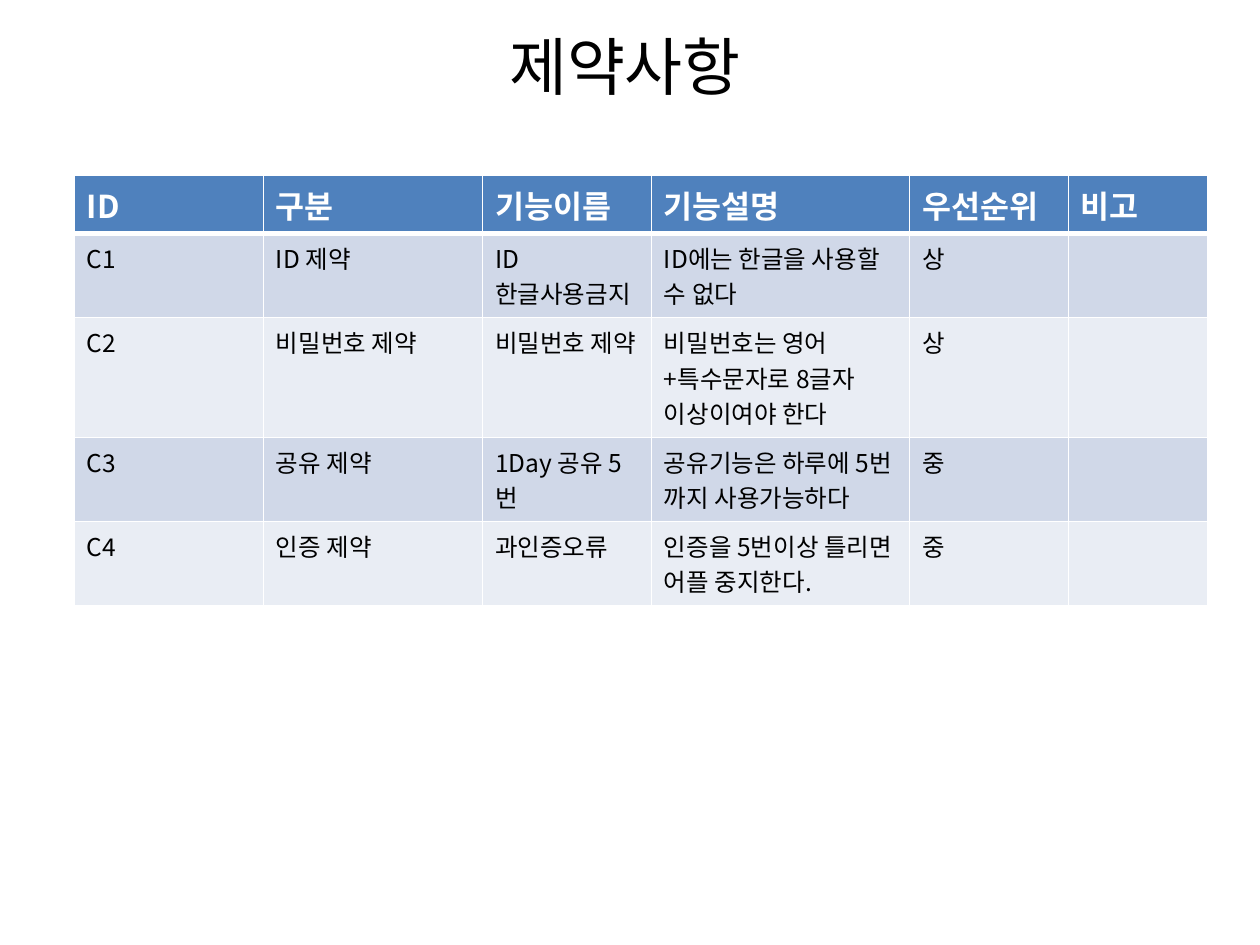
from lxml.etree import SubElement
from pptx import Presentation
from pptx.dml.color import RGBColor
from pptx.enum.text import MSO_ANCHOR, PP_ALIGN
from pptx.oxml.ns import qn
from pptx.util import Inches, Pt

HEADERS = ["ID", "구분", "기능이름", "기능설명", "우선순위", "비고"]
CONSTRAINTS = [
    ["C1", "ID 제약", "ID한글사용금지", "ID에는 한글을 사용할 수 없다", "상", ""],
    ["C2", "비밀번호 제약", "비밀번호 제약",
     "비밀번호는 영어+특수문자로 8글자 이상이여야 한다", "상", ""],
    ["C3", "공유 제약", "1Day 공유 5번",
     "공유기능은 하루에 5번 까지 사용가능하다", "중", ""],
    ["C4", "인증 제약", "과인증오류",
     "인증을 5번이상 틀리면 어플 중지한다.", "중", ""],
]
COLUMN_WIDTHS = [1.5, 1.74, 1.34, 2.05, 1.26, 1.11]
ROW_HEIGHT = 0.41


def color(hex_string):
    return RGBColor.from_string(hex_string)


class SlideBuilder:
    font = "Noto Sans CJK KR"
    ink = "000000"
    white = "FFFFFF"
    header_fill = "4F81BD"
    band_fills = ["D0D8E8", "E9EDF4"]

    def __init__(self, slide):
        self.slide = slide

    def style_text(self, frame, size, text_color, bold=False):
        for paragraph in frame.paragraphs:
            for run in paragraph.runs:
                run.font.size = Pt(size)
                run.font.bold = bold
                run.font.color.rgb = color(text_color)
                run.font.name = self.font
                # Hangul takes its typeface from the East Asian font
                SubElement(run.font._element, qn("a:ea"), typeface=self.font)

    def title(self, text, left, top, width, height):
        heading = self.slide.shapes.title
        heading.left, heading.top = Inches(left), Inches(top)
        heading.width, heading.height = Inches(width), Inches(height)
        frame = heading.text_frame
        frame.text = text
        frame.vertical_anchor = MSO_ANCHOR.MIDDLE
        frame.paragraphs[0].alignment = PP_ALIGN.CENTER
        self.style_text(frame, 36, self.ink)

    def borders(self, cell, widths):
        properties = cell._tc.get_or_add_tcPr()
        for side, width in widths.items():
            line = SubElement(properties, qn(f"a:ln{side}"), w=str(Pt(width)))
            fill = SubElement(line, qn("a:solidFill"))
            SubElement(fill, qn("a:srgbClr"), val=self.white)

    def table(self, rows, left, top, column_widths, row_height):
        grid = self.slide.shapes.add_table(
            len(rows), len(column_widths), Inches(left), Inches(top),
            Inches(sum(column_widths)), Inches(row_height * len(rows))).table
        for column, width in zip(grid.columns, column_widths):
            column.width = Inches(width)
        for r, texts in enumerate(rows):
            is_header = r == 0
            fill = self.header_fill if is_header else self.band_fills[(r - 1) % 2]
            # The rule under the header is thicker than the others
            widths = {"L": 1, "R": 1, "T": 3 if r == 1 else 1, "B": 3 if is_header else 1}
            for c, text in enumerate(texts):
                cell = grid.cell(r, c)
                cell.text_frame.text = text
                self.borders(cell, widths)
                cell.fill.solid()
                cell.fill.fore_color.rgb = color(fill)
                if is_header:
                    self.style_text(cell.text_frame, 18, self.white, bold=True)
                else:
                    self.style_text(cell.text_frame, 14, self.ink)


def main():
    presentation = Presentation()
    presentation.slide_width = Inches(10)
    presentation.slide_height = Inches(7.5)
    title_only = presentation.slide_layouts[5]
    builder = SlideBuilder(presentation.slides.add_slide(title_only))

    # Heading
    builder.title("제약사항", 0.59, 0.04, 8.74, 0.96)

    # Constraint list
    builder.table([HEADERS] + CONSTRAINTS, 0.59, 1.39, COLUMN_WIDTHS, ROW_HEIGHT)

    presentation.save("out.pptx")


if __name__ == "__main__":
    main()
